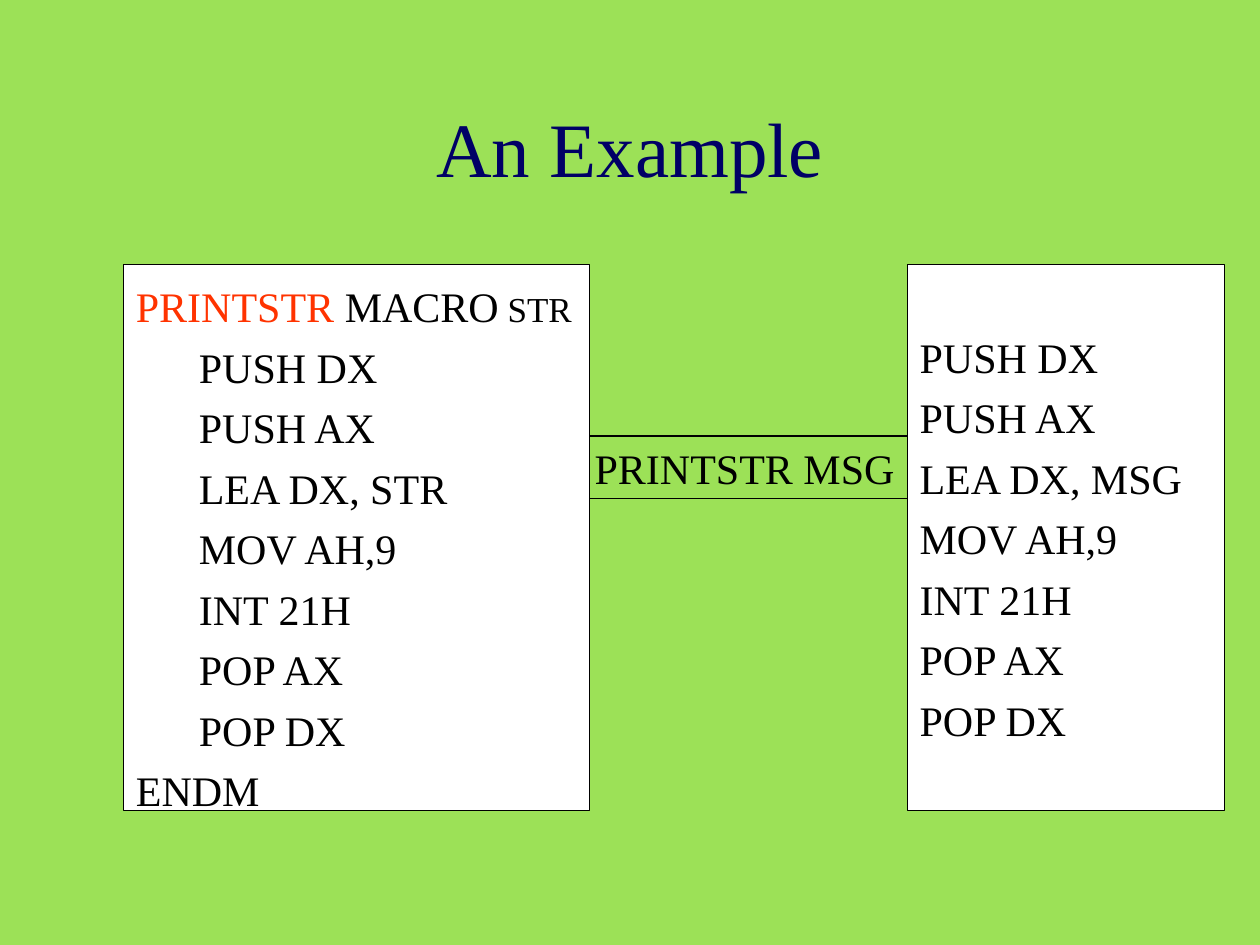
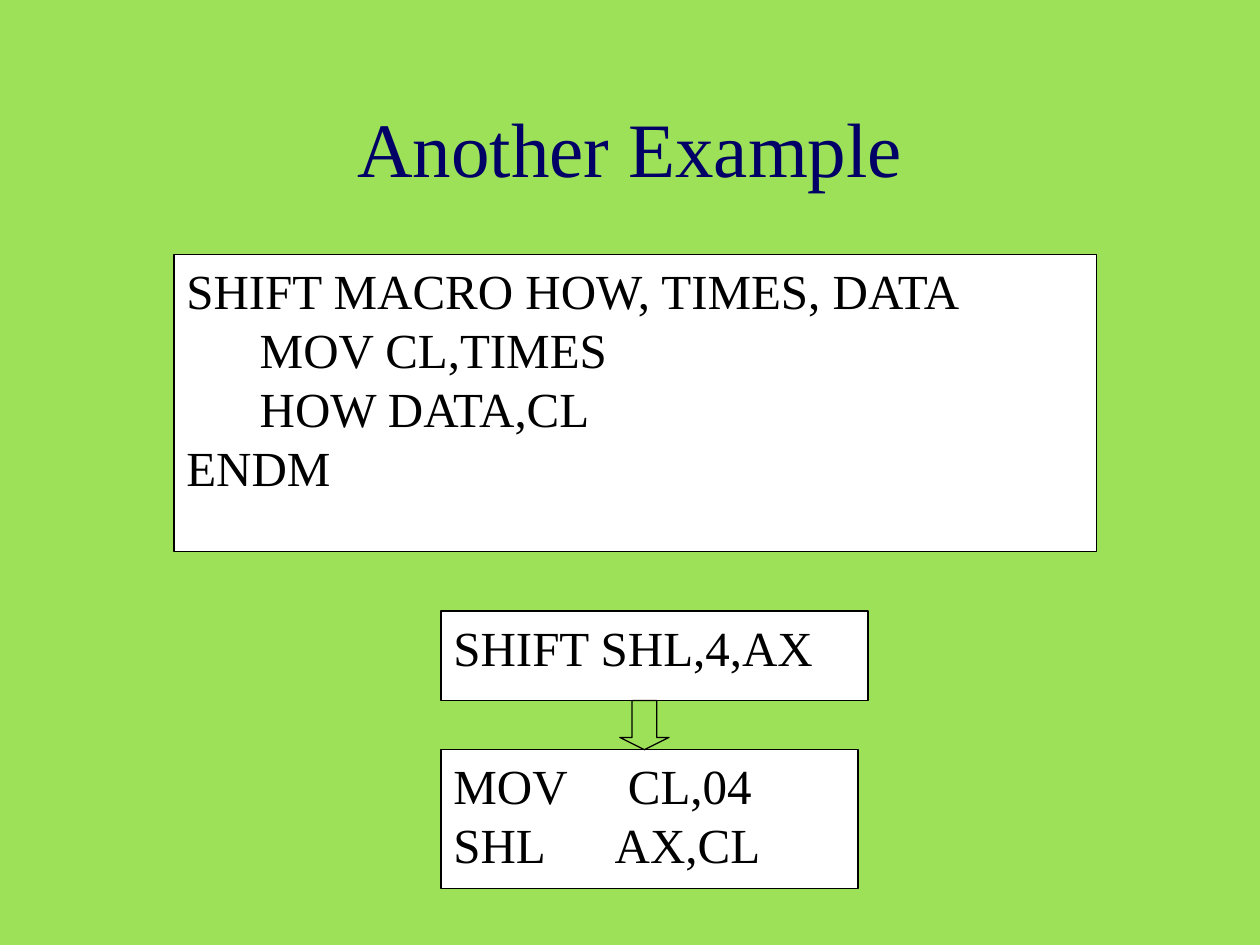
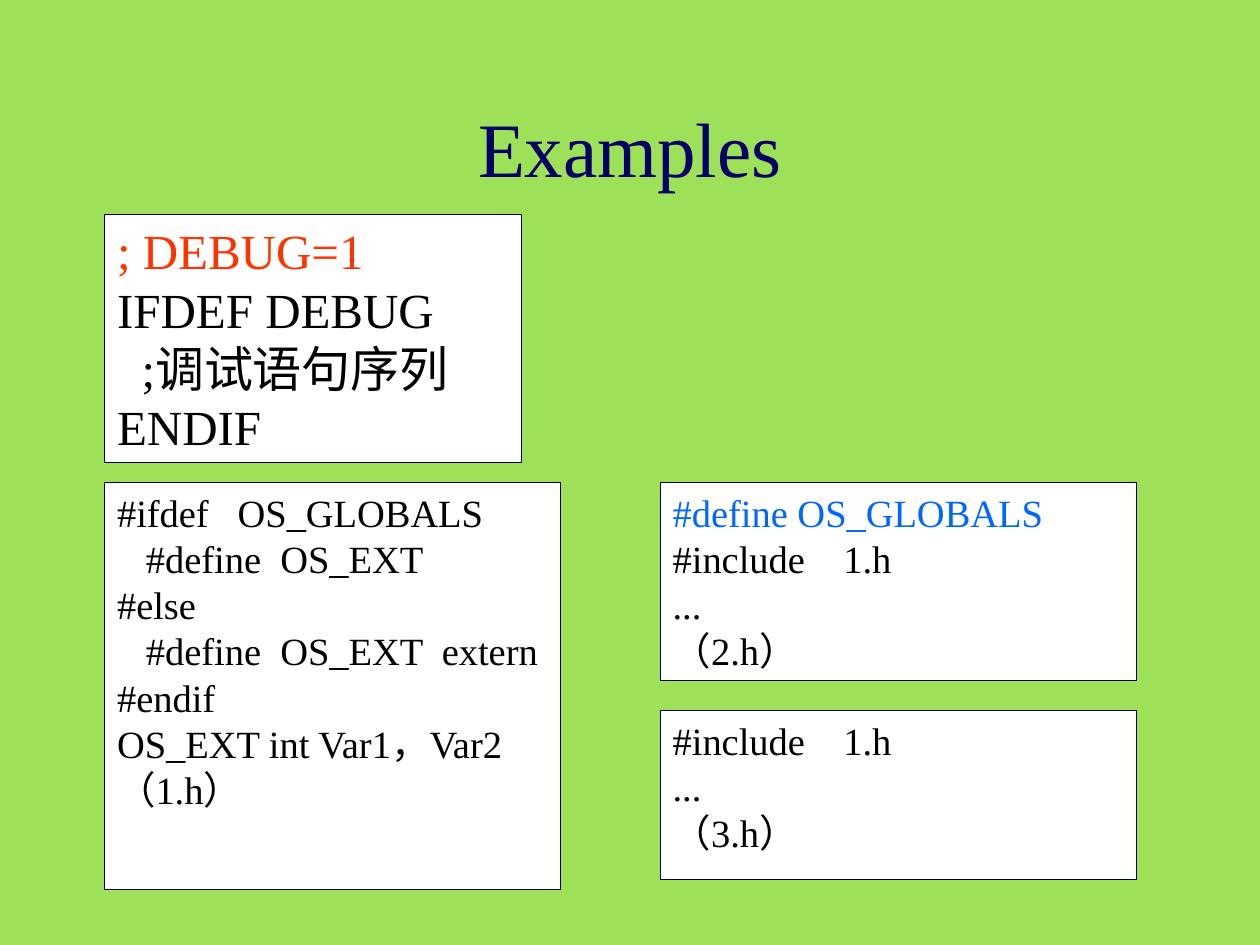
from dataclasses import dataclass

from pptx import Presentation
from pptx.dml.color import RGBColor
from pptx.enum.shapes import MSO_SHAPE
from pptx.enum.text import MSO_ANCHOR, PP_ALIGN
from pptx.shapes.autoshape import Shape
from pptx.slide import Slide
from pptx.util import Pt

# Shared style
FONT = "Times New Roman"
GREEN, NAVY, WHITE, BLACK = "9CE157", "000066", "FFFFFF", "000000"
RED, BLUE = "FF3300", "0066FF"
LEFT, JUST, MID = PP_ALIGN.LEFT, PP_ALIGN.JUSTIFY, PP_ALIGN.CENTER


@dataclass(frozen=True)
class Bit:
    """A piece of a first line with its own look."""
    text: str
    hue: str = BLACK
    size: float = 0


@dataclass(frozen=True)
class Box:
    """A framed block of code; head holds the styled first line."""
    left: float
    top: float
    width: float
    height: float
    size: float
    code: str
    head: tuple[Bit, ...] = ()
    fill: str = WHITE
    align: PP_ALIGN = JUST
    space: float = 1.0
    inset: float = 3.6
    anchor: MSO_ANCHOR = MSO_ANCHOR.TOP
    wrap: bool = True


def rgb(hue: str) -> RGBColor:
    return RGBColor.from_string(hue)


def style(font, size: float, hue: str) -> None:
    font.name = FONT
    font.size = Pt(size)
    font.color.rgb = rgb(hue)


def add_frame(slide: Slide, kind: MSO_SHAPE, left: float, top: float,
              width: float, height: float, fill: str = "") -> Shape:
    shape = slide.shapes.add_shape(kind, Pt(left), Pt(top), Pt(width), Pt(height))
    shape.shadow.inherit = False
    shape.line.color.rgb = rgb(BLACK)
    shape.line.width = Pt(0.75)
    if fill:
        shape.fill.solid()
        shape.fill.fore_color.rgb = rgb(fill)
    else:
        shape.fill.background()
    return shape


def add_box(slide: Slide, box: Box) -> Shape:
    shape = add_frame(slide, MSO_SHAPE.RECTANGLE, box.left, box.top,
                      box.width, box.height, box.fill)
    frame = shape.text_frame
    frame.word_wrap = box.wrap
    frame.vertical_anchor = box.anchor
    frame.margin_left = frame.margin_right = Pt(7.2)
    frame.margin_top, frame.margin_bottom = Pt(box.inset), Pt(3.6)
    first = "".join(bit.text for bit in box.head)
    frame.text = f"{first}\n{box.code}" if first else box.code
    for para in frame.paragraphs:
        para.alignment = box.align
        para.line_spacing = box.space
        for run in para.runs:
            style(run.font, box.size, BLACK)
    if box.head:
        para = frame.paragraphs[0]
        para.clear()
        for bit in box.head:
            run = para.add_run()
            run.text = bit.text
            style(run.font, bit.size or box.size, bit.hue)
    return shape


def add_page(deck, name: str) -> Slide:
    slide = deck.slides.add_slide(deck.slide_layouts[5])
    title = slide.shapes.title
    title.left, title.top, title.width, title.height = Pt(54), Pt(54), Pt(612), Pt(60)
    frame = title.text_frame
    frame.text = name
    frame.vertical_anchor = MSO_ANCHOR.MIDDLE
    frame.paragraphs[0].alignment = MID
    style(frame.paragraphs[0].runs[0].font, 44, NAVY)
    return slide


# Macro, call and expanded code
CALL = Box(332.6, 249.1, 185.8, 36, 24, "PRINTSTR MSG", fill="", align=MID,
           anchor=MSO_ANCHOR.MIDDLE, wrap=False)
MACRO = Box(70.6, 151.2, 266.4, 311.8, 24, """\
      PUSH DX
      PUSH AX
      LEA DX, STR
      MOV AH,9
      INT 21H
      POP AX
      POP DX
ENDM""", head=(Bit("PRINTSTR", RED), Bit(" MACRO"), Bit(" STR", size=20)), space=1.2)
RESULT = Box(518.4, 151.2, 181.4, 311.8, 24, """\
PUSH DX
PUSH AX
LEA DX, MSG
MOV AH,9
INT 21H
POP AX
POP DX""", space=1.2, inset=32.4)

# Shift macro and its use
SHIFT = Box(99.4, 145.4, 527, 169.9, 28, """\
SHIFT MACRO HOW, TIMES, DATA
      MOV CL,TIMES
      HOW DATA,CL
ENDM""")
USE = Box(252, 349.2, 244.1, 51.1, 28, "SHIFT SHL,4,AX")
MOVES = Box(252, 428.4, 238.3, 79.2, 28, """\
MOV     CL,04
SHL      AX,CL""")

# Debug switch and header files
COL, SIDE, ROW = 59.8, 377.3, 275.8
FILES = (
    Box(COL, 122.4, 238.3, 141.8, 28, """\
IFDEF DEBUG
  ;调试语句序列
ENDIF""", head=(Bit("; DEBUG=1", RED),)),
    Box(COL, ROW, 260.6, 232.6, 22, """\
#ifdef   OS_GLOBALS
   #define  OS_EXT
#else
   #define  OS_EXT  extern
#endif
OS_EXT int Var1，Var2
（1.h）""", align=LEFT),
    Box(SIDE, ROW, 272.2, 113, 22, """\
#include    1.h
...
（2.h）""", head=(Bit("#define OS_GLOBALS", BLUE),), align=LEFT),
    Box(SIDE, 406.1, 272.2, 96.5, 22, """\
#include    1.h
...
（3.h）""", align=LEFT),
)


def main() -> None:
    deck = Presentation()
    deck.slide_width, deck.slide_height = Pt(720), Pt(540)
    back = deck.slide_master.background.fill
    back.solid()
    back.fore_color.rgb = rgb(GREEN)

    page = add_page(deck, "An Example")
    for box in (CALL, MACRO, RESULT):
        add_box(page, box)

    page = add_page(deck, "Another Example")
    for box in (SHIFT, USE):
        add_box(page, box)
    moves = add_box(page, MOVES)
    arrow = add_frame(page, MSO_SHAPE.DOWN_ARROW, 354.2, 400.3, 28.1, 28.1)
    arrow.adjustments[0], arrow.adjustments[1] = 0.5, 0.25
    page.shapes.add_group_shape([moves, arrow])

    page = add_page(deck, "Examples")
    for box in FILES:
        add_box(page, box)

    deck.save("out.pptx")


if __name__ == "__main__":
    main()
